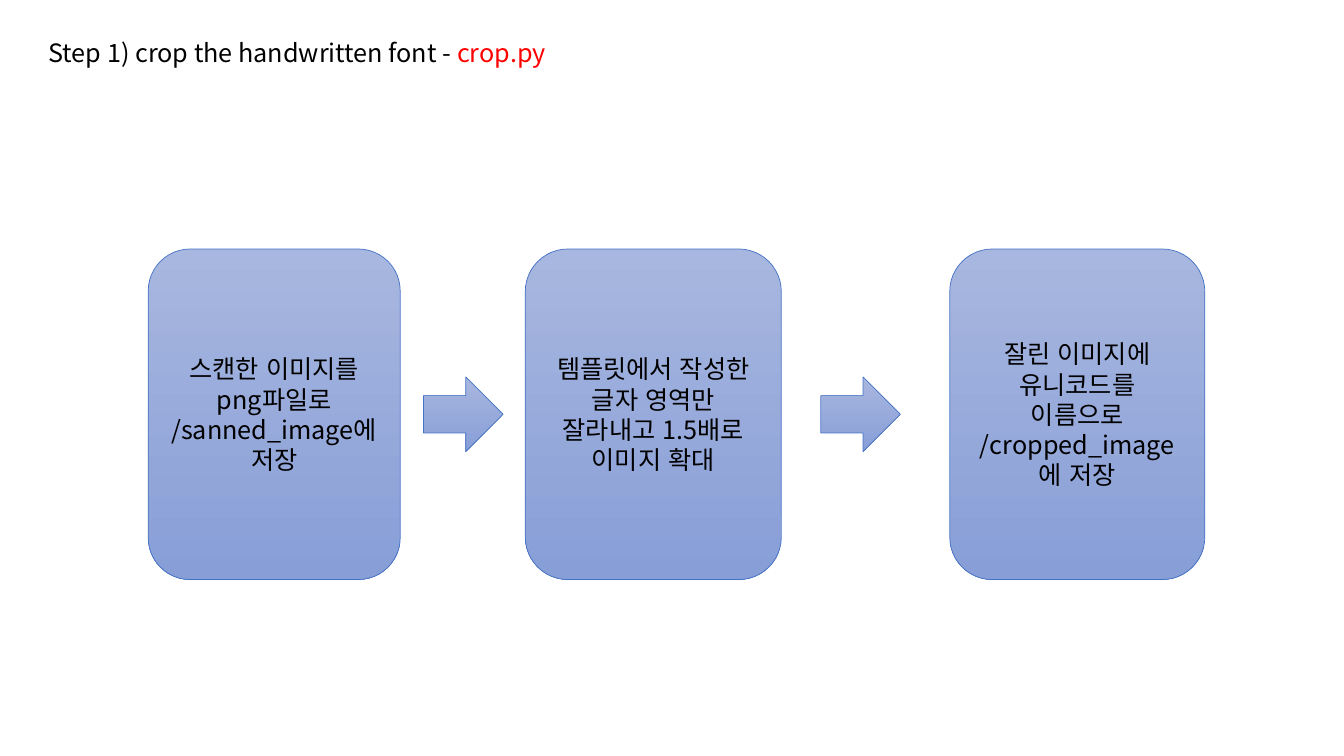
from dataclasses import dataclass

from lxml import etree
from pptx import Presentation
from pptx.dml.color import RGBColor
from pptx.enum.lang import MSO_LANGUAGE_ID
from pptx.enum.shapes import MSO_SHAPE
from pptx.enum.text import MSO_ANCHOR, MSO_AUTO_SIZE, PP_ALIGN
from pptx.oxml.ns import qn
from pptx.util import Inches, Pt

KOREAN = MSO_LANGUAGE_ID.KOREAN
ROUNDED = MSO_SHAPE.ROUNDED_RECTANGLE
ARROW = MSO_SHAPE.RIGHT_ARROW
TOP, MIDDLE = MSO_ANCHOR.TOP, MSO_ANCHOR.MIDDLE
LEFT, CENTER = PP_ALIGN.LEFT, PP_ALIGN.CENTER
NO_FIT = MSO_AUTO_SIZE.NONE
TITLE_ONLY = 5


@dataclass(frozen=True)
class Theme:
    font: str = "Noto Sans CJK KR"
    text_size: float = 18
    line_width: float = 0.5
    text: RGBColor = RGBColor.from_string("000000")
    accent: RGBColor = RGBColor.from_string("FF0000")
    outline: RGBColor = RGBColor.from_string("4472C4")
    gradient_top: RGBColor = RGBColor.from_string("A8B7DF")
    gradient_bottom: RGBColor = RGBColor.from_string("889ED7")


THEME = Theme()
WIDTH, HEIGHT = 13.33, 7.5
FLOW_CENTER = 4.11
STEP_HEIGHT = 3.28
ARROW_WIDTH, ARROW_HEIGHT = 0.79, 0.74
STEPS = [
    (1.47, 2.5, "스캔한 이미지를 png파일로 /sanned_image에 저장"),
    (5.21, 2.54, "템플릿에서 작성한 글자 영역만 잘라내고 1.5배로 이미지 확대"),
    (9.42, 2.53, "잘린 이미지에 유니코드를 이름으로 /cropped_image에 저장"),
]
ARROW_LEFTS = [4.2, 8.14]


def format_paragraph(paragraph, alignment):
    paragraph.alignment = alignment
    font = paragraph.font
    font.name = THEME.font
    font.size = Pt(THEME.text_size)
    font.color.rgb = THEME.text
    font.language_id = KOREAN
    properties = paragraph._p.pPr.find(qn("a:defRPr"))
    east_asian = etree.Element(qn("a:ea"), typeface=THEME.font)
    properties.find(qn("a:latin")).addnext(east_asian)


def add_title(slide, lead, file_name):
    title = slide.shapes.title
    title.left, title.top = Inches(0.38), Inches(0.32)
    title.width, title.height = Inches(11.83), Inches(0.4)
    frame = title.text_frame
    frame.word_wrap = True
    frame.auto_size = NO_FIT
    frame.vertical_anchor = TOP
    paragraph = frame.paragraphs[0]
    format_paragraph(paragraph, LEFT)
    paragraph.add_run().text = lead
    accent_run = paragraph.add_run()
    accent_run.text = file_name
    accent_run.font.color.rgb = THEME.accent


def add_flow_shape(slide, kind, left, width, height):
    shape = slide.shapes.add_shape(
        kind, Inches(left), Inches(FLOW_CENTER - height / 2), Inches(width), Inches(height)
    )
    shape.shadow.inherit = False
    shape.fill.gradient()
    shape.fill.gradient_angle = 270
    colors = (THEME.gradient_top, THEME.gradient_bottom)
    for stop, position, color in zip(shape.fill.gradient_stops, (0, 1), colors):
        stop.position = position
        stop.color.rgb = color
    shape.line.color.rgb = THEME.outline
    shape.line.width = Pt(THEME.line_width)
    return shape


def add_step(slide, left, width, text):
    frame = add_flow_shape(slide, ROUNDED, left, width, STEP_HEIGHT).text_frame
    frame.word_wrap = True
    frame.vertical_anchor = MIDDLE
    paragraph = frame.paragraphs[0]
    format_paragraph(paragraph, CENTER)
    paragraph.add_run().text = text


def main():
    presentation = Presentation()
    presentation.slide_width = Inches(WIDTH)
    presentation.slide_height = Inches(HEIGHT)
    slide = presentation.slides.add_slide(presentation.slide_layouts[TITLE_ONLY])
    add_title(slide, "Step 1) crop the handwritten font - ", "crop.py")
    for left, width, text in STEPS:
        add_step(slide, left, width, text)
    for left in ARROW_LEFTS:
        add_flow_shape(slide, ARROW, left, ARROW_WIDTH, ARROW_HEIGHT)
    presentation.save("out.pptx")


if __name__ == "__main__":
    main()
